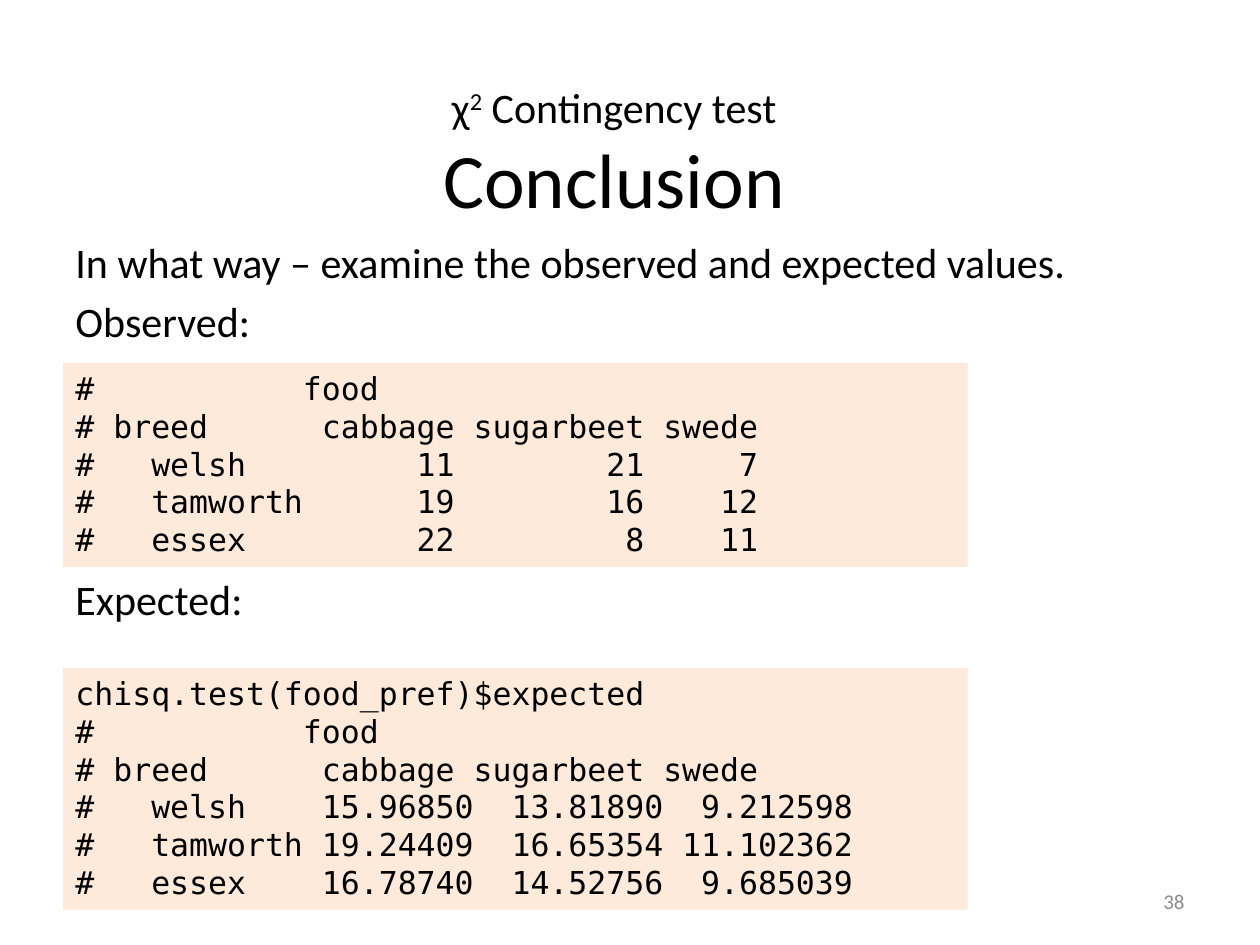
from dataclasses import dataclass
from typing import Any

from pptx import Presentation
from pptx.dml.color import RGBColor
from pptx.enum.shapes import MSO_SHAPE
from pptx.enum.text import MSO_ANCHOR, PP_ALIGN
from pptx.util import Emu, Pt

RECT = MSO_SHAPE.RECTANGLE
TOP, MID = MSO_ANCHOR.TOP, MSO_ANCHOR.MIDDLE
LEFT, MID_X, RIGHT = PP_ALIGN.LEFT, PP_ALIGN.CENTER, PP_ALIGN.RIGHT
SCALE = 9144
SANS, MONO = "Calibri", "DejaVu Sans Mono"
BLACK, GREY, PEACH = "000000", "8C8C8C", "FDEADA"
HEAD = ("#           food", "# breed      cabbage sugarbeet swede")


@dataclass
class Box:
    x: int
    y: int
    w: int
    h: int
    lines: tuple[str, ...]
    size: float = 24
    font: str = SANS
    ink: str = BLACK
    fill: str = ""
    align: Any = LEFT
    anchor: Any = TOP
    before: float = 0


def px(n: int) -> Emu:
    return Emu(n * SCALE)


def tint(code: str) -> RGBColor:
    return RGBColor.from_string(code)


def apply(obj: Any, form: dict[str, Any]) -> None:
    for name, value in form.items():
        setattr(obj, name, value)


def add_run(para: Any, text: str, size: float, font: str, ink: str) -> Any:
    run = para.add_run()
    run.text = text
    apply(run.font, {"size": Pt(size), "name": font})
    run.font.color.rgb = tint(ink)
    return run


def add_box(slide: Any, box: Box) -> Any:
    area = [px(n) for n in (box.x, box.y, box.w, box.h)]
    if box.fill:
        shape = slide.shapes.add_shape(RECT, *area)
        shape.fill.solid()
        shape.fill.fore_color.rgb = tint(box.fill)
        shape.line.fill.background()
        shape.shadow.inherit = False
    else:
        shape = slide.shapes.add_textbox(*area)
    frame = shape.text_frame
    apply(frame, {"word_wrap": True, "vertical_anchor": box.anchor})
    for i, line in enumerate(box.lines):
        para = frame.add_paragraph() if i else frame.paragraphs[0]
        apply(para, {"alignment": box.align, "space_before": Pt(box.before)})
        add_run(para, line, box.size, box.font, box.ink)
    return shape


def add_title(slide: Any) -> None:
    box = Box(79, 42, 817, 158, ("χ",), align=MID_X, anchor=MID)
    para = add_box(slide, box).text_frame.paragraphs[0]
    power = add_run(para, "2", 24, SANS, BLACK)
    power.font._element.set("baseline", "30000")
    add_run(para, " Contingency test", 24, SANS, BLACK)
    para.add_line_break()
    add_run(para, "Conclusion", 44, SANS, BLACK)


def add_note(slide: Any, y: int, h: int, *lines: str) -> None:
    add_box(slide, Box(50, y, 875, h, lines, before=4.8))


def add_code(slide: Any, y: int, h: int, *lines: str) -> None:
    add_box(slide, Box(50, y, 718, h, lines, 18, MONO, fill=PEACH))


def main() -> None:
    deck = Presentation()
    apply(deck, {"slide_width": px(1000), "slide_height": px(750)})
    slide = deck.slides.add_slide(deck.slide_layouts[6])
    add_box(slide, Box(717, 695, 233, 40, ("38",), 12, ink=GREY,
                       align=RIGHT, anchor=MID))
    add_title(slide)
    add_note(slide, 183, 83,
             "In what way – examine the observed and expected values.",
             "Observed:")
    add_code(slide, 288, 162, *HEAD,
             "#   welsh         11        21     7",
             "#   tamworth      19        16    12",
             "#   essex         22         8    11")
    add_note(slide, 450, 50, "Expected:")
    add_code(slide, 530, 192, "chisq.test(food_pref)$expected", *HEAD,
             "#   welsh    15.96850  13.81890  9.212598",
             "#   tamworth 19.24409  16.65354 11.102362",
             "#   essex    16.78740  14.52756  9.685039")
    deck.save("out.pptx")


if __name__ == "__main__":
    main()
